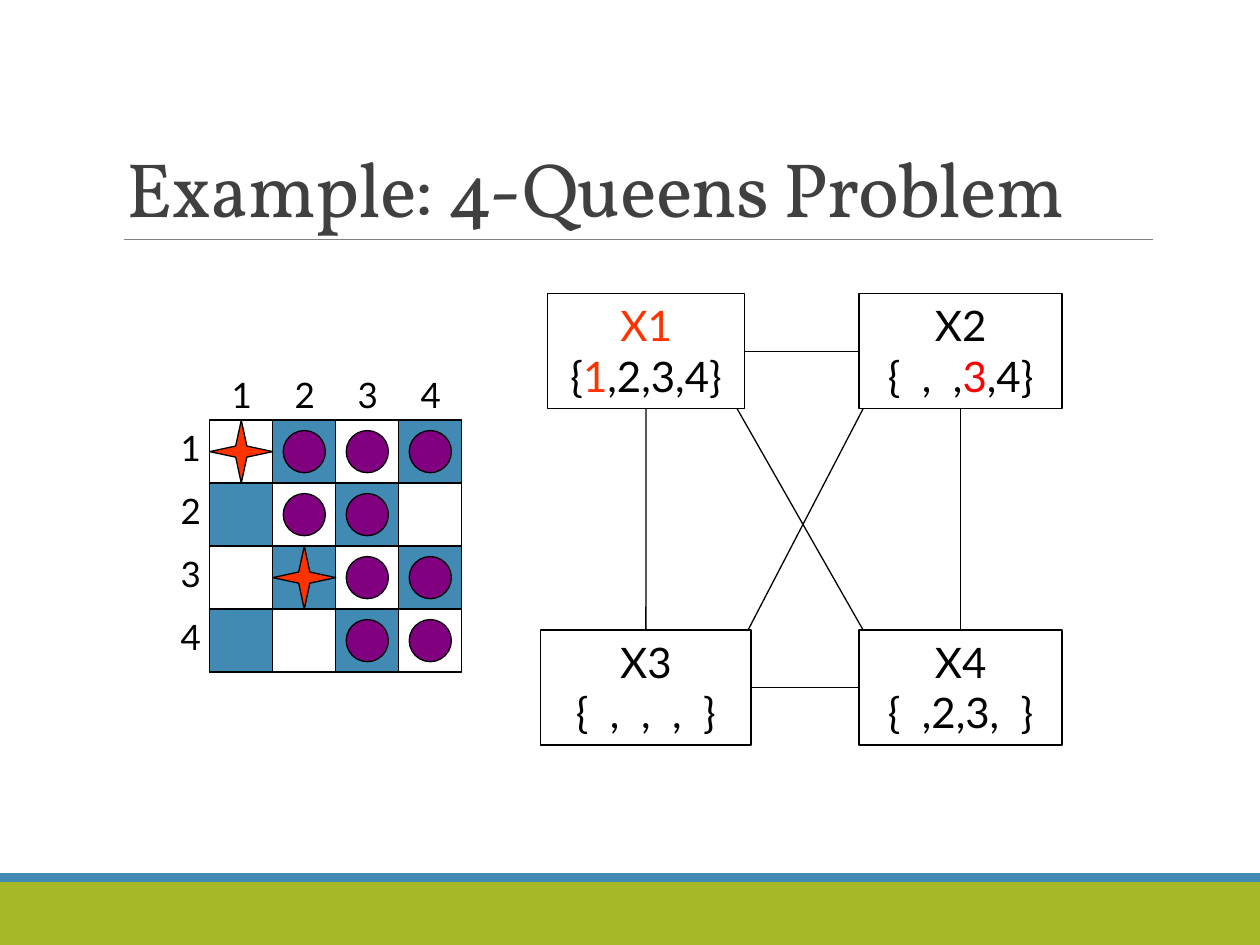
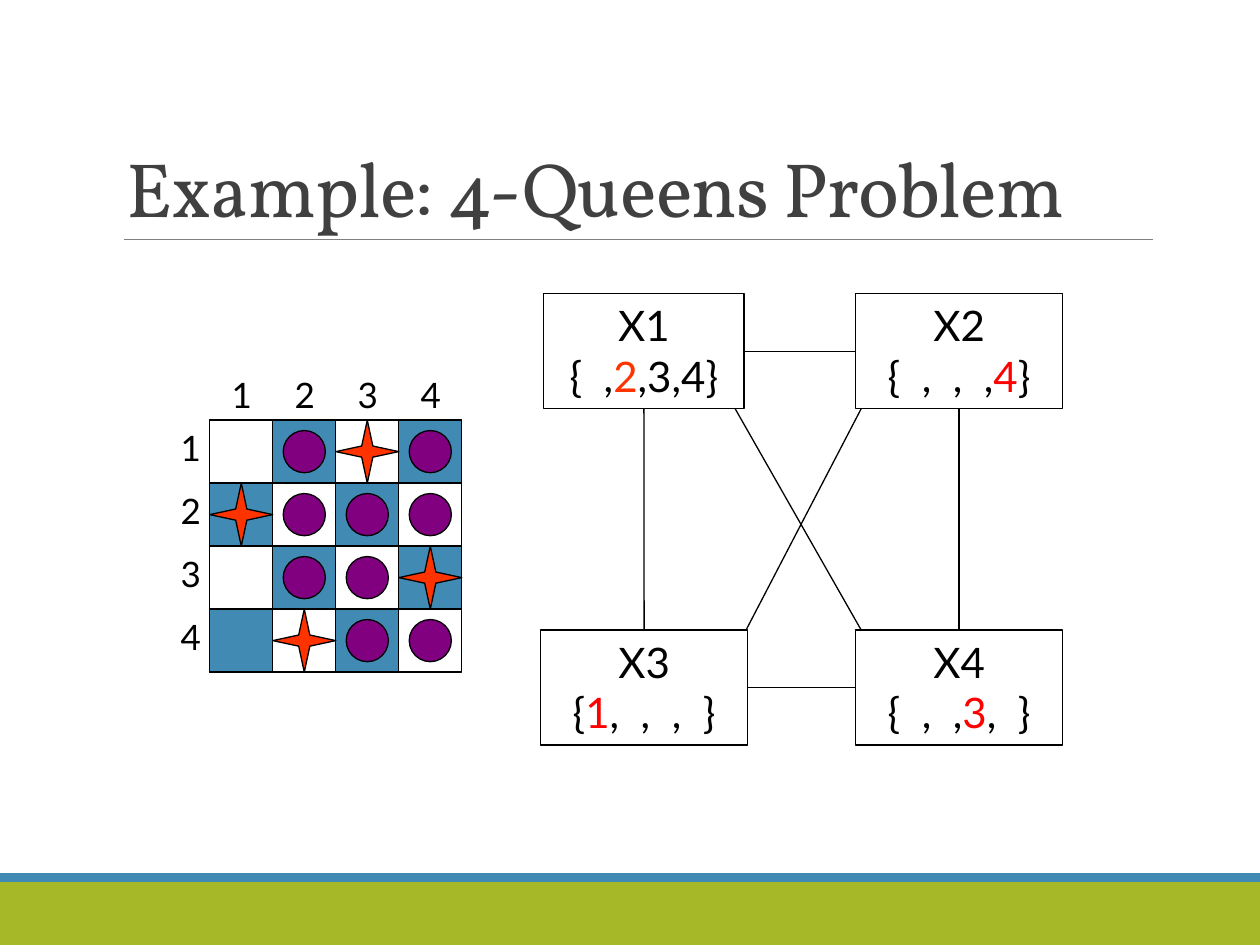
from dataclasses import dataclass
from typing import Optional

import pptx
import pptx.dml.color
import pptx.enum.shapes
import pptx.enum.text
import pptx.oxml
import pptx.oxml.ns
import pptx.shapes.autoshape
import pptx.shapes.connector
import pptx.slide
import pptx.text.text
import pptx.util

Cm = pptx.util.Cm
Pt = pptx.util.Pt
qn = pptx.oxml.ns.qn
SHAPE = pptx.enum.shapes.MSO_SHAPE
ALIGN = pptx.enum.text.PP_ALIGN
ANCHOR = pptx.enum.text.MSO_ANCHOR

COLORS = {
    "ink": "000000", "title": "404040", "rule": "808080",
    "green": "A6B727", "blue": "418AB3",
    "queen": "FF3300", "red": "FF0000", "attacked": "800080",
}
TITLE_FONT, BODY_FONT = "Vollkorn", "Lato"
SLIDE_W, SLIDE_H = 25.4, 19.05

# Board geometry, in centimetres
CELL, BOARD_LEFT, BOARD_TOP, BOARD_SIZE = 1.27, 4.23, 8.47, 4
LABEL_W, LABEL_H, ROW_LABEL_LEFT, COLUMN_LABEL_TOP = 0.89, 1.12, 3.39, 7.41
DISC = 0.85

# Constraint graph geometry, in centimetres
NODE_H, UPPER_TOP, LOWER_TOP = 2.32, 5.92, 12.7
TOP, LEFT, BOTTOM, RIGHT = range(4)
SIDE_LINKS = [
    ("X1", RIGHT, "X2", LEFT), ("X3", RIGHT, "X4", LEFT),
    ("X1", BOTTOM, "X3", TOP), ("X2", BOTTOM, "X4", TOP),
]
DIAGONALS = [(14.86, 17.4), (17.4, 15.08)]


@dataclass(frozen=True)
class Variable:
    """A graph node; text between asterisks takes the accent colour."""
    name: str
    domain: str
    left: float
    top: float
    width: float
    accent: str = "red"


@dataclass(frozen=True)
class Step:
    """A search state: Q is a queen, x an attacked square."""
    board: tuple[str, ...]
    variables: tuple[Variable, ...]
    diagonal_shift: float = 0


STEPS = [
    Step(
        ("Qxxx", ".xx.", ".Qxx", "..xx"),
        (
            Variable("*X1*", "{*1*,2,3,4}", 11.04, UPPER_TOP, 3.97, "queen"),
            Variable("X2", "{  ,  ,*3*,4}", 17.32, UPPER_TOP, 4.09),
            Variable("X3", "{  ,  ,  ,  }", 10.9, LOWER_TOP, 4.24),
            Variable("X4", "{  ,2,3,  }", 17.32, LOWER_TOP, 4.09),
        ),
    ),
    Step(
        (".xQx", "Qxxx", ".xxQ", ".Qxx"),
        (
            Variable("X1", "{  ,*2*,3,4}", 10.96, UPPER_TOP, 4.04, "queen"),
            Variable("X2", "{  ,  ,  ,*4*}", 17.25, UPPER_TOP, 4.17),
            Variable("X3", "{*1*,  ,  ,  }", 10.9, LOWER_TOP, 4.17),
            Variable("X4", "{  ,  ,*3*,  }", 17.25, LOWER_TOP, 4.17),
        ),
        diagonal_shift=-0.04,
    ),
]


def rgb(color: str) -> pptx.dml.color.RGBColor:
    return pptx.dml.color.RGBColor.from_string(COLORS[color])


def write(frame: pptx.text.text.TextFrame, text: str, *, size: float,
          font: str = BODY_FONT, color: str = "ink", accent: str = "red",
          align: ALIGN = ALIGN.LEFT, anchor: ANCHOR = ANCHOR.TOP,
          wrap: bool = False, line_spacing: Optional[float] = None) -> None:
    frame.clear()
    frame.auto_size = pptx.enum.text.MSO_AUTO_SIZE.NONE
    frame.word_wrap = wrap
    frame.vertical_anchor = anchor
    for number, line in enumerate(text.split("\n")):
        paragraph = frame.add_paragraph() if number else frame.paragraphs[0]
        paragraph.alignment = align
        if line_spacing:
            paragraph.line_spacing = line_spacing
        for part, piece in enumerate(line.split("*")):
            if piece:
                run = paragraph.add_run()
                run.text = piece
                run.font.size = Pt(size)
                run.font.name = font
                run.font.color.rgb = rgb(accent if part % 2 else color)


def add_figure(slide: pptx.slide.Slide, kind: SHAPE, left: float, top: float,
               width: float, height: float, fill: Optional[str] = None,
               outline: Optional[str] = "ink") -> pptx.shapes.autoshape.Shape:
    figure = slide.shapes.add_shape(kind, Cm(left), Cm(top), Cm(width), Cm(height))
    figure.shadow.inherit = False
    if fill:
        figure.fill.solid()
        figure.fill.fore_color.rgb = rgb(fill)
    else:
        figure.fill.background()
    if outline:
        figure.line.color.rgb = rgb(outline)
        figure.line.width = Pt(0.75)
    else:
        figure.line.fill.background()
    return figure


def add_line(slide: pptx.slide.Slide, x1: float = 0, y1: float = 0, x2: float = 0,
             y2: float = 0, color: str = "ink",
             weight: float = 0.75) -> pptx.shapes.connector.Connector:
    line = slide.shapes.add_connector(
        pptx.enum.shapes.MSO_CONNECTOR.STRAIGHT, Cm(x1), Cm(y1), Cm(x2), Cm(y2))
    line.line.color.rgb = rgb(color)
    line.line.width = Pt(weight)
    properties = line.element.find(qn("p:spPr"))
    properties.append(pptx.oxml.parse_xml(
        '<a:effectLst xmlns:a="http://schemas.openxmlformats.org/drawingml/2006/main"/>'))
    return line


def add_frame(slide: pptx.slide.Slide, heading: str) -> None:
    # Footer bands and rule under the title
    add_figure(slide, SHAPE.RECTANGLE, 0, 17.78, SLIDE_W, 1.27, "green", None)
    add_figure(slide, SHAPE.RECTANGLE, 0, 17.6, SLIDE_W, 0.18, "blue", None)
    add_line(slide, 2.49, 4.83, 23.24, 4.83, "rule", 0.5)

    # Title
    title = slide.shapes.title
    title.left, title.top, title.width, title.height = Cm(2.29), Cm(0.79), Cm(20.96), Cm(4.04)
    write(title.text_frame, heading, size=44, font=TITLE_FONT, color="title",
          anchor=ANCHOR.BOTTOM, wrap=True, line_spacing=0.85)
    for run_format in title.element.iter(qn("a:rPr")):
        run_format.set("spc", "-50")


def add_label(slide: pptx.slide.Slide, text: str, left: float, top: float) -> None:
    label = slide.shapes.add_textbox(Cm(left), Cm(top), Cm(LABEL_W), Cm(LABEL_H))
    write(label.text_frame, text, size=20)


def add_board(slide: pptx.slide.Slide, board: tuple[str, ...]) -> None:
    side = BOARD_SIZE * CELL
    add_figure(slide, SHAPE.RECTANGLE, BOARD_LEFT, BOARD_TOP, side, side)
    for index in range(BOARD_SIZE):
        offset = index * CELL
        add_label(slide, str(index + 1), ROW_LABEL_LEFT, BOARD_TOP + offset)
        add_label(slide, str(index + 1),
                  BOARD_LEFT + offset + (CELL - LABEL_W) / 2, COLUMN_LABEL_TOP)

    squares = [(BOARD_LEFT + column * CELL, BOARD_TOP + row * CELL,
                (row + column) % 2, mark)
               for row, marks in enumerate(board) for column, mark in enumerate(marks)]
    for left, top, dark, _ in squares:
        if dark:
            add_figure(slide, SHAPE.RECTANGLE, left, top, CELL, CELL, "blue")
    inset = (CELL - DISC) / 2
    for left, top, _, mark in squares:
        if mark == "Q":
            queen = add_figure(slide, SHAPE.STAR_4_POINT, left, top, CELL, CELL, "queen")
            queen.adjustments[0] = 0.125
        elif mark == "x":
            add_figure(slide, SHAPE.OVAL, left + inset, top + inset, DISC, DISC, "attacked")


def add_graph(slide: pptx.slide.Slide, step: Step) -> None:
    nodes = {}
    for variable in step.variables:
        node = add_figure(slide, SHAPE.RECTANGLE, variable.left, variable.top,
                          variable.width, NODE_H)
        write(node.text_frame, f"{variable.name}\n{variable.domain}", size=24,
              accent=variable.accent, align=ALIGN.CENTER)
        nodes[variable.name.strip("*")] = node

    # Constraints between variables
    for first, first_side, second, second_side in SIDE_LINKS:
        constraint = add_line(slide)
        constraint.begin_connect(nodes[first], first_side)
        constraint.end_connect(nodes[second], second_side)
    for upper_x, lower_x in DIAGONALS:
        add_line(slide, upper_x + step.diagonal_shift, UPPER_TOP + NODE_H,
                 lower_x + step.diagonal_shift, LOWER_TOP)


def main() -> None:
    deck = pptx.Presentation()
    deck.slide_width, deck.slide_height = Cm(SLIDE_W), Cm(SLIDE_H)
    title_only = deck.slide_layouts.get_by_name("Title Only")
    for step in STEPS:
        slide = deck.slides.add_slide(title_only)
        add_frame(slide, "Example: 4-Queens Problem")
        add_board(slide, step.board)
        add_graph(slide, step)
    deck.save("out.pptx")


if __name__ == "__main__":
    main()
